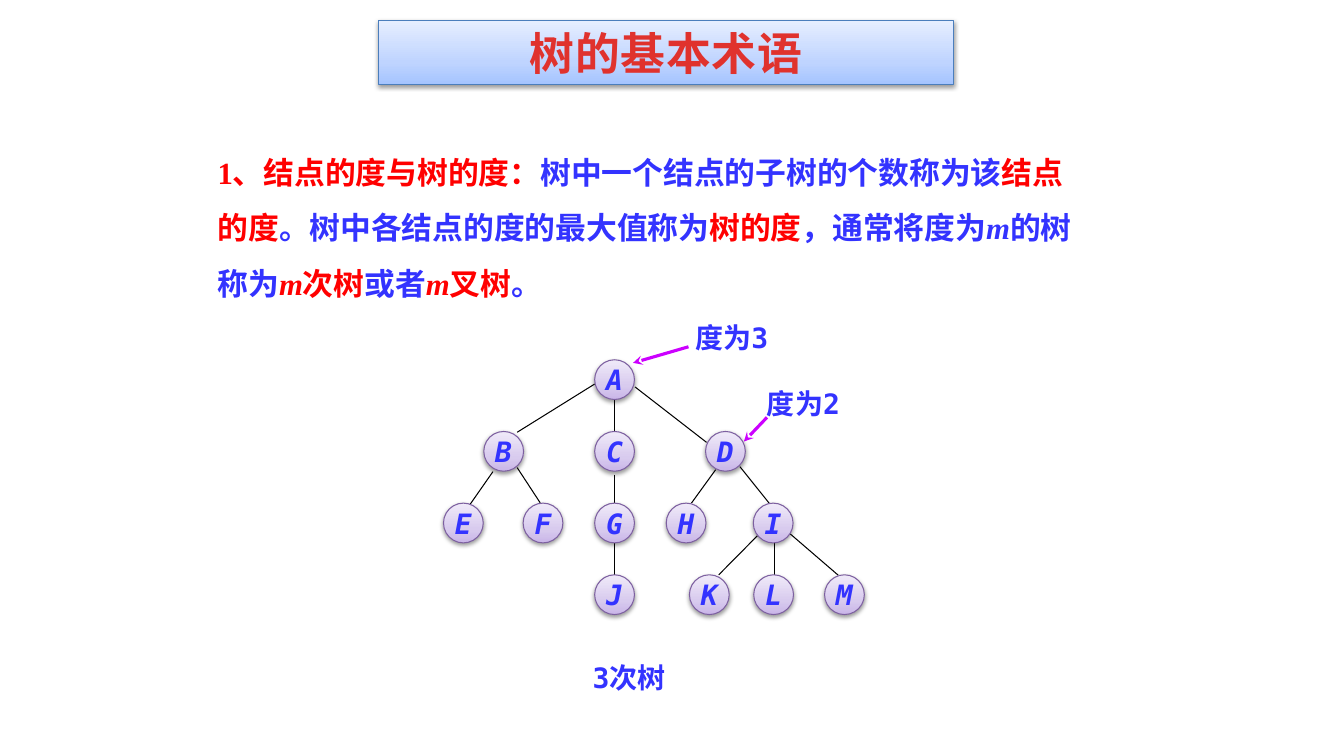
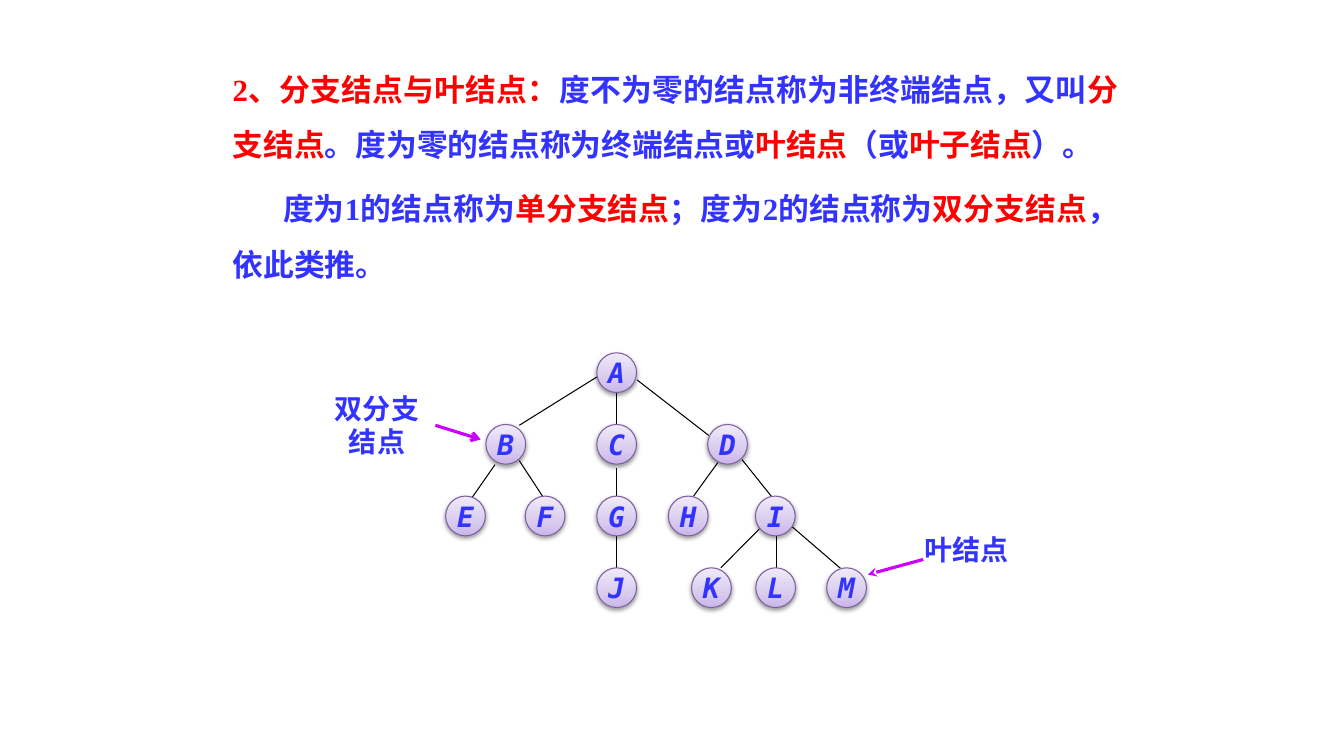
from copy import deepcopy
from dataclasses import dataclass

from lxml.etree import SubElement
from pptx import Presentation
from pptx.dml.color import RGBColor
from pptx.enum.shapes import MSO_CONNECTOR, MSO_SHAPE
from pptx.enum.text import MSO_ANCHOR, MSO_AUTO_SIZE, PP_ALIGN
from pptx.oxml.ns import qn
from pptx.util import Pt


@dataclass(frozen=True)
class Theme:
    red: str = "FF0000"
    blue: str = "3333FF"
    pink: str = "CC00FF"
    black: str = "000000"
    head: str = "E0322D"
    band: tuple = ("A4C4FF", "BFD4FF", "E6EEFF")
    rim: str = "4B7EBC"
    node: tuple = ("C9B5E8", "D8CBEE", "F0EAF9")
    ring: str = "7D60A0"
    serif: str = "Times New Roman"
    mono: str = "DejaVu Sans Mono"
    title: int = 32
    body: int = 22
    label: int = 20
    thin: float = 0.75
    bold: float = 2.25


THEME = Theme()

# Tree geometry: node name -> (left, level); edges as x1, y1, x2, y2
SIZE, STEP = 28.4, 51.2
NODES = {
    "A": (108, 0), "B": (28.8, 1), "C": (108, 1), "D": (187.2, 1),
    "E": (0, 2), "F": (56.9, 2), "G": (108, 2), "H": (159.1, 2),
    "I": (221.3, 2), "J": (108, 3), "K": (175.7, 3), "L": (221.6, 3),
    "M": (272.2, 3),
}
EDGES = [
    (108, 17.3, 52.6, 51.8), (122, 28.4, 122, 51.2),
    (136.8, 19.4, 187.9, 59), (35.3, 79.9, 18.7, 103.7),
    (52.6, 77, 69.1, 102.2), (122.4, 82.1, 122.4, 102.4),
    (122.4, 131, 122.4, 153.6), (194.4, 78.5, 177.1, 102.4),
    (211.7, 76.3, 232.6, 102.4), (224.6, 125.3, 196.6, 153.6),
    (236.2, 131, 236.2, 153.6), (247, 123.8, 282.2, 154.1),
]

# Body text: r red, b blue, i italic
DEGREE = [[
    ("1、结点的度与树的度：", "r"), ("树中一个结点的子树的个数称为该", "b"),
    ("结点的度", "r"), ("。树中各结点的度的最大值称为", "b"),
    ("树的度", "r"), ("，通常将度为", "b"), ("m", "bi"), ("的树称为", "b"),
    ("m", "ri"), ("次树", "r"), ("或者", "b"), ("m", "ri"), ("叉树", "r"),
    ("。", "b"),
]]
LEAVES = [[
    ("2、分支结点与叶结点：", "r"),
    ("度不为零的结点称为非终端结点，又叫", "b"), ("分支结点", "r"),
    ("。度为零的结点称为终端结点或", "b"), ("叶结点", "r"), ("（或", "b"),
    ("叶子结点", "r"), ("）。", "b"),
], [
    ("度为1的结点称为", "b"), ("单分支结点", "r"),
    ("；度为2的结点称为", "b"), ("双分支结点", "r"), ("，依此类推。", "b"),
]]


def points(*nums):
    return [Pt(num) for num in nums]


def style(run, face, size, color, slant=False):
    font = run.font
    font.name, font.size, font.bold, font.italic = face, Pt(size), True, slant
    font.color.rgb = RGBColor.from_string(color)


def finish(shape, tones, rim):
    """Give a shape its gradient, outline and soft shadow."""
    fill = shape.fill
    fill.gradient()
    fill.gradient_angle = 90
    stops = shape._element.spPr.find(".//" + qn("a:gsLst"))
    stops.append(deepcopy(stops[0]))
    for stop, tone, place in zip(fill.gradient_stops, tones, (0, 0.35, 1)):
        stop.color.rgb, stop.position = RGBColor.from_string(tone), place
    shape.line.color.rgb = RGBColor.from_string(rim)
    shape.line.width = Pt(THEME.thin)
    shape.shadow.inherit = False
    glow = SubElement(
        shape._element.spPr.find(qn("a:effectLst")), qn("a:outerShdw"),
        blurRad=str(Pt(3.1)), dist=str(Pt(1.6)), dir="5400000", rotWithShape="0")
    shade = SubElement(glow, qn("a:srgbClr"), val=THEME.black)
    SubElement(shade, qn("a:alpha"), val="38000")


def link(shapes, ends, color, width, tip=None):
    line = shapes.add_connector(MSO_CONNECTOR.STRAIGHT, *points(*ends))
    line.line.color.rgb = RGBColor.from_string(color)
    line.line.width = Pt(width)
    props = line._element.spPr
    if tip:
        SubElement(props.find(qn("a:ln")), qn("a:tailEnd"), type=tip)
    SubElement(props, qn("a:effectLst"))


def banner(slide, text, box):
    title = slide.shapes.title
    title.left, title.top, title.width, title.height = points(*box)
    finish(title, THEME.band, THEME.rim)
    frame = title.text_frame
    frame.text = text
    frame.auto_size = MSO_AUTO_SIZE.NONE
    frame.vertical_anchor = MSO_ANCHOR.MIDDLE
    para = frame.paragraphs[0]
    para.alignment = PP_ALIGN.CENTER
    run = para.runs[0]
    style(run, THEME.serif, THEME.title, THEME.head)
    run.font._element.set("spc", "50")


def prose(slide, paras, box, align, indent=36):
    """Place body text; every paragraph after the first is indented."""
    frame = slide.shapes.add_textbox(*points(*box)).text_frame
    frame.word_wrap = True
    for num, parts in enumerate(paras):
        para = frame.add_paragraph() if num else frame.paragraphs[0]
        para.alignment = align
        para.line_spacing, para.space_before = 1.5, Pt(6)
        if num:
            para._p.get_or_add_pPr().set("indent", str(Pt(indent)))
        for text, kind in parts:
            run = para.add_run()
            run.text = text
            color = THEME.red if "r" in kind else THEME.blue
            style(run, THEME.serif, THEME.body, color, "i" in kind)


def label(slide, text, box):
    frame = slide.shapes.add_textbox(*points(*box)).text_frame
    frame.word_wrap = True
    frame.text = text
    para = frame.paragraphs[0]
    para.alignment = PP_ALIGN.CENTER
    style(para.runs[0], THEME.mono, THEME.label, THEME.blue)


def note(slide, text, box, ends, tip="stealth"):
    """A label with the arrow that leads to its node."""
    label(slide, text, box)
    link(slide.shapes, ends, THEME.pink, THEME.bold, tip)


def tree(slide, left, top):
    shapes = slide.shapes.add_group_shape().shapes
    # Branches
    for x1, y1, x2, y2 in EDGES:
        ends = (left + x1, top + y1, left + x2, top + y2)
        link(shapes, ends, THEME.black, THEME.thin)
    # Nodes
    for name, (x, level) in NODES.items():
        node = shapes.add_shape(MSO_SHAPE.OVAL, *points(
            left + x, top + level * STEP, SIZE, SIZE))
        finish(node, THEME.node, THEME.ring)
        frame = node.text_frame
        frame.text = name
        frame.word_wrap = False
        frame.vertical_anchor = MSO_ANCHOR.MIDDLE
        frame.margin_left = frame.margin_right = 0
        frame.margin_top = frame.margin_bottom = 0
        para = frame.paragraphs[0]
        para.alignment = PP_ALIGN.CENTER
        style(para.runs[0], THEME.mono, THEME.label, THEME.blue, True)


def main():
    deck = Presentation()
    deck.slide_width, deck.slide_height = points(960, 540)

    # Degree of nodes and trees
    slide = deck.slides.add_slide(deck.slide_layouts[5])
    banner(slide, "树的基本术语", (270.6, 14.6, 410.4, 46))
    prose(slide, DEGREE, (148.3, 92.9, 632.9, 122.4), PP_ALIGN.LEFT)
    note(slide, "度为3", (480.2, 225.4, 85, 31), (491.8, 247.7, 452.2, 259.2))
    note(slide, "度为2", (531.4, 272.9, 85, 31), (547.9, 298.1, 531.4, 315.4))
    tree(slide, 316.8, 257)
    label(slide, "3次树", (396, 468, 106.6, 31.7))

    # Branch nodes and leaves
    slide = deck.slides.add_slide(deck.slide_layouts[6])
    prose(slide, LEAVES, (159.1, 33.8, 646.6, 168.5), PP_ALIGN.JUSTIFY)
    note(slide, "叶结点", (648, 376.6, 85, 31.7), (659.5, 399.6, 619.9, 410.4))
    note(slide, "双分支结点", (226.8, 275.8, 85, 55.4),
         (311, 303.8, 343.4, 313.9), "arrow")
    tree(slide, 318.3, 252)

    deck.save("out.pptx")


if __name__ == "__main__":
    main()
